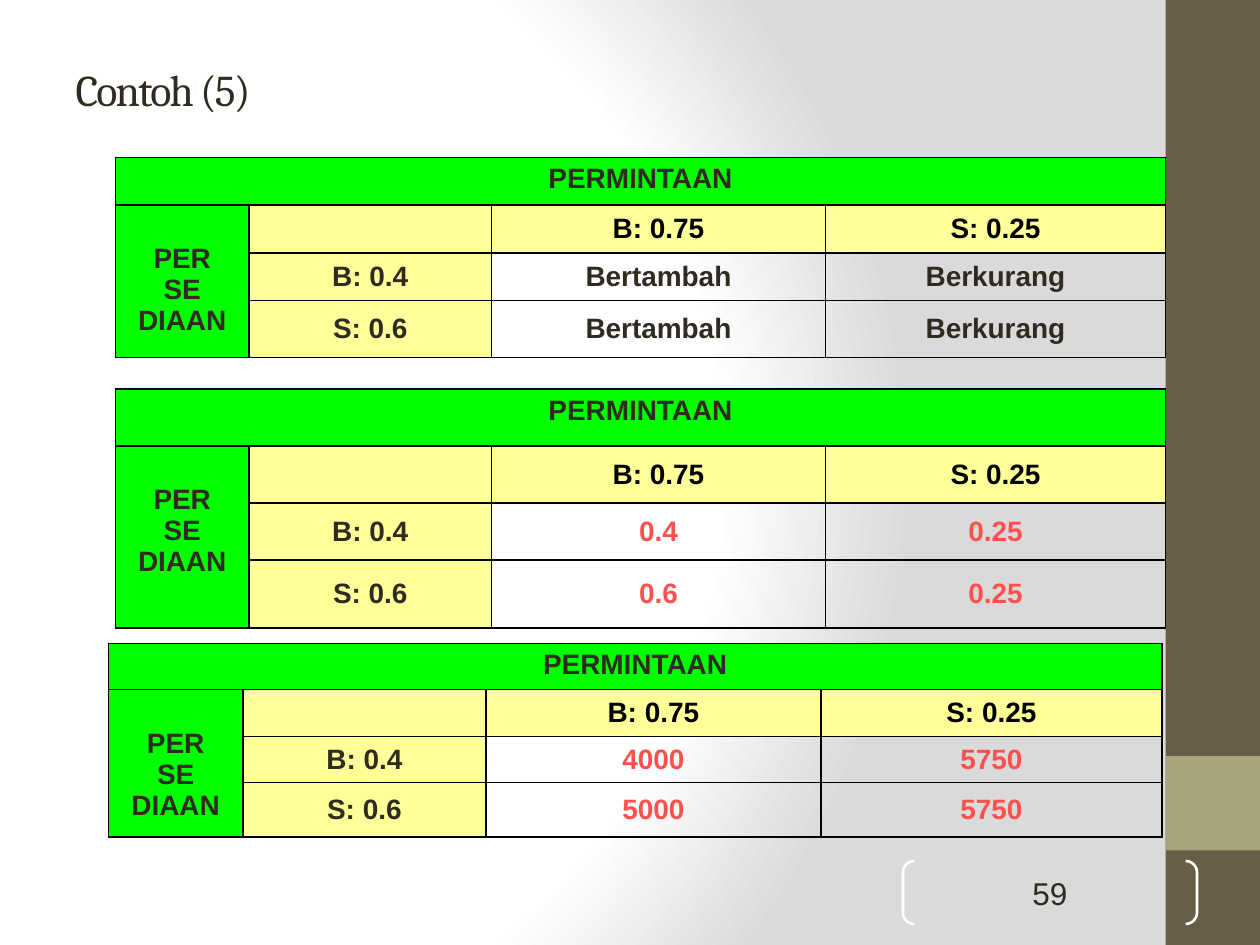
from lxml import etree
from pptx import Presentation
from pptx.dml.color import RGBColor
from pptx.enum.shapes import MSO_SHAPE as Shape
from pptx.enum.text import MSO_ANCHOR as Anchor, PP_ALIGN as Align
from pptx.oxml import parse_xml
from pptx.oxml.ns import nsdecls, qn
from pptx.util import Pt

INK, BLACK, RED = "2F2B20", "000000", "FF5050"
GREEN, YELLOW = "00FF00", "FFFF99"


def color(hex_value):
    return RGBColor.from_string(hex_value)


def write(paragraph, text, size, font, ink, bold=False):
    run = paragraph.add_run()
    run.text = text
    run.font.size = Pt(size)
    run.font.name = font
    run.font.bold = bold
    run.font.color.rgb = color(ink)
    return run


prs = Presentation()
prs.slide_width, prs.slide_height = Pt(720), Pt(540)
slide = prs.slides.add_slide(prs.slide_layouts[5])

backdrop = slide.background.fill
backdrop.gradient()
old_gradient = slide.background._cSld.find(".//" + qn("a:gradFill"))
stops = "".join(
    f'<a:gs pos="{position * 1000}"><a:srgbClr val="{shade}"/></a:gs>'
    for position, shade in [(0, "FFFFFF"), (75, "FFFFFF"), (100, "DADADA")]
)
old_gradient.getparent().replace(old_gradient, parse_xml(
    f'<a:gradFill {nsdecls("a")} rotWithShape="1"><a:gsLst>{stops}</a:gsLst>'
    '<a:path path="circle"><a:fillToRect l="20000" t="50000" r="100000" b="50000"/>'
    '</a:path></a:gradFill>'
))

for top, height, shade in [(0, 540, "675E47"), (432, 54, "A9A57C")]:
    side_band = slide.shapes.add_shape(Shape.RECTANGLE, Pt(666), Pt(top), Pt(54), Pt(height))
    side_band.shadow.inherit = False
    side_band.fill.solid()
    side_band.fill.fore_color.rgb = color(shade)
    side_band.line.fill.background()

title = slide.shapes.title
title.left, title.top, title.width, title.height = Pt(36), Pt(30.24), Pt(648), Pt(41.76)
title.text_frame.vertical_anchor = Anchor.MIDDLE
heading = title.text_frame.paragraphs[0]
heading.alignment = Align.LEFT
heading_run = write(heading, "Contoh (5)", 25, "Cambria", INK)
heading_run.font._element.set("spc", "-100")

narrow, wide = [76.3, 138.6, 190.8, 194.4], [76.8, 138.9, 191.4, 194.9]
market_tables = [
    (66, 89.9, narrow, 27.3, 32.4, INK, [["Bertambah", "Berkurang"]] * 2),
    (62, 367.7, wide, 26.4, 31.1, RED, [["4000", "5750"], ["5000", "5750"]]),
    (66, 222.4, narrow, 32.5, 39, RED, [["0.4", "0.25"], ["0.6", "0.25"]]),
]

for left, top, widths, row_height, last_height, result_ink, results in market_tables:
    heights = [row_height] * 3 + [last_height]
    grid = slide.shapes.add_table(
        4, 4, Pt(left), Pt(top), Pt(sum(widths)), Pt(sum(heights))
    ).table
    grid.first_row = grid.horz_banding = False
    for column, width in zip(grid.columns, widths):
        column.width = Pt(width)
    for row, height in zip(grid.rows, heights):
        row.height = Pt(height)
    grid.cell(0, 0).merge(grid.cell(0, 3))
    grid.cell(1, 0).merge(grid.cell(3, 0))

    wording = [
        ["PERMINTAAN", "", "", ""],
        ["", "", "B: 0.75", "S: 0.25"],
        ["", "B: 0.4", *results[0]],
        ["", "S: 0.6", *results[1]],
    ]
    for r, line in enumerate(wording):
        for c, text in enumerate(line):
            cell = grid.cell(r, c)
            if r == 0 or c == 0:
                fill, ink = GREEN, INK
            elif r == 1:
                fill, ink = YELLOW, BLACK
            elif c == 1:
                fill, ink = YELLOW, INK
            else:
                fill, ink = None, result_ink
            if fill:
                cell.fill.solid()
                cell.fill.fore_color.rgb = color(fill)
            else:
                cell.fill.background()
            cell.vertical_anchor = Anchor.MIDDLE if r and c else Anchor.TOP

            paragraph = cell.text_frame.paragraphs[0]
            paragraph.alignment = Align.CENTER
            if (r, c) == (1, 0):
                cell.margin_top = Pt(22)
                for i, syllable in enumerate(["PER", "SE", "DIAAN"]):
                    part = cell.text_frame.add_paragraph() if i else paragraph
                    part.alignment = Align.CENTER
                    write(part, syllable, 16, "Arial", INK, True)
            elif text:
                indents = paragraph._p.get_or_add_pPr()
                indents.set("marL", str(Pt(27)))
                indents.set("indent", str(-Pt(27)))
                write(paragraph, text, 16, "Arial", ink, True)
            else:
                etree.SubElement(paragraph._p, qn("a:endParaRPr")).set("sz", "1600")

            borders = cell._tc.get_or_add_tcPr()
            for i, side in enumerate(["lnL", "lnR", "lnT", "lnB"]):
                borders.insert(i, parse_xml(
                    f'<a:{side} {nsdecls("a")} w="{Pt(1)}"><a:solidFill>'
                    f'<a:srgbClr val="{BLACK}"/></a:solidFill></a:{side}>'
                ))

page_number = slide.shapes.add_shape(Shape.DOUBLE_BRACKET, Pt(516), Pt(492), Pt(168), Pt(36))
page_number.adjustments[0] = 0.18
page_number.shadow.inherit = False
page_number.fill.background()
page_number.line.color.rgb = color("FFFFFF")
page_number.line.width = Pt(1.5)
number_frame = page_number.text_frame
number_frame.margin_left = number_frame.margin_right = Pt(0)
number_frame.margin_top = number_frame.margin_bottom = Pt(0)
number_frame.vertical_anchor = Anchor.MIDDLE
number_frame.paragraphs[0].alignment = Align.CENTER
write(number_frame.paragraphs[0], "59", 18, "Arial", INK)

prs.save("out.pptx")
